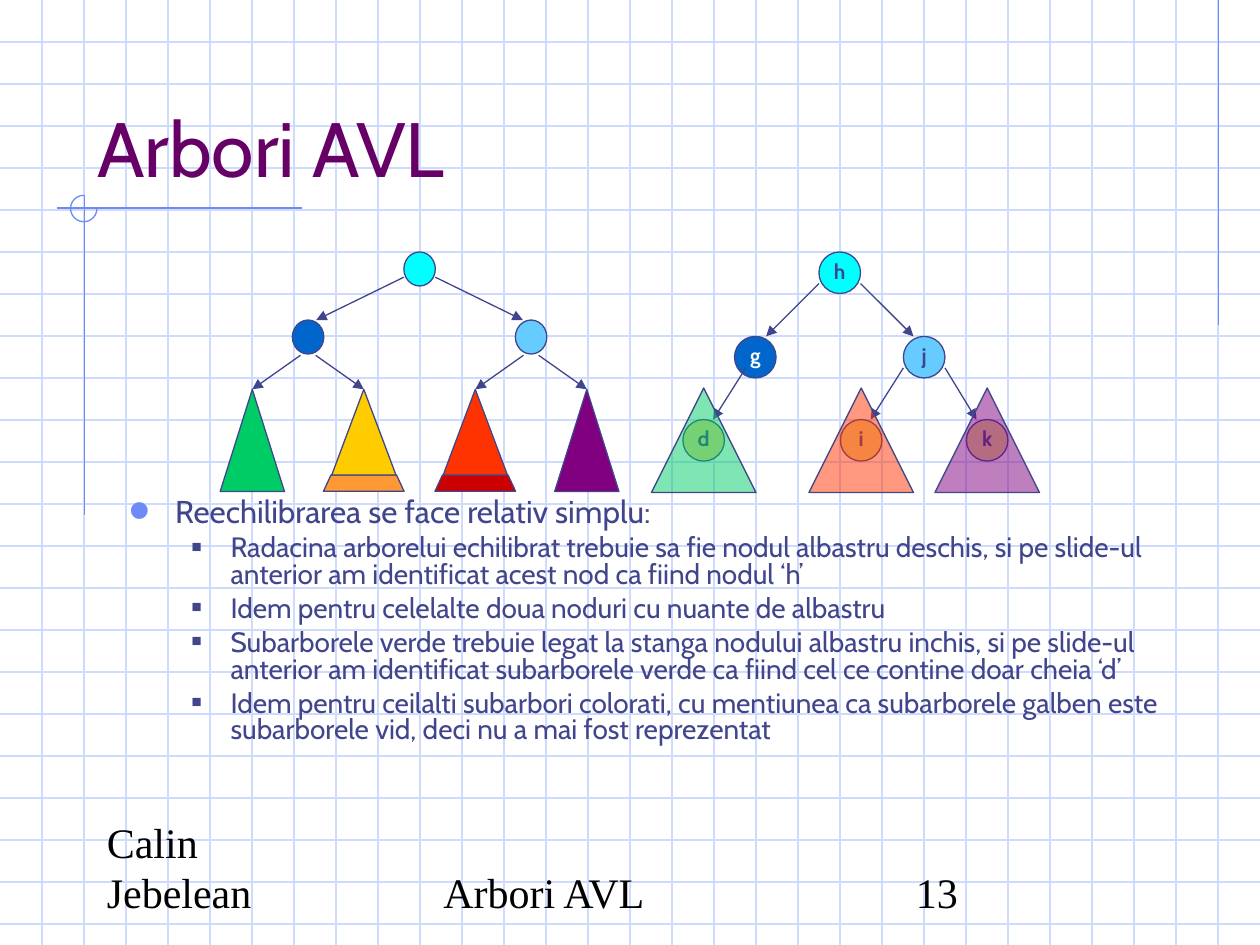
import lxml.etree
import pptx
import pptx.dml.color
import pptx.enum.shapes
import pptx.enum.text
import pptx.oxml.ns
import pptx.util

Inches = pptx.util.Inches
Pt = pptx.util.Pt
RGBColor = pptx.dml.color.RGBColor
SHAPE = pptx.enum.shapes.MSO_SHAPE
ALIGN = pptx.enum.text.PP_ALIGN
ANCHOR = pptx.enum.text.MSO_ANCHOR
qn = pptx.oxml.ns.qn

GRID = RGBColor(0xCF, 0xDB, 0xFD)
ACCENT = RGBColor(0x6F, 0x89, 0xF7)
INK = RGBColor(0x40, 0x45, 0x8C)
PLUM = RGBColor(0x66, 0x00, 0x66)
BLACK = RGBColor(0x00, 0x00, 0x00)
WHITE = RGBColor(0xFF, 0xFF, 0xFF)
CYAN = RGBColor(0x00, 0xFF, 0xFF)
DARK_BLUE = RGBColor(0x00, 0x66, 0xCC)
LIGHT_BLUE = RGBColor(0x66, 0xCC, 0xFF)
SAND = RGBColor(0xEC, 0xD8, 0x82)
GREEN = RGBColor(0x00, 0xCC, 0x66)
YELLOW = RGBColor(0xFF, 0xCC, 0x00)
ORANGE = RGBColor(0xFF, 0x99, 0x33)
RED = RGBColor(0xFF, 0x33, 0x00)
DARK_RED = RGBColor(0xCC, 0x00, 0x00)
PURPLE = RGBColor(0x80, 0x00, 0x80)

BULLETS = [
    (0, "Reechilibrarea se face relativ simplu:"),
    (1, "Radacina arborelui echilibrat trebuie sa fie nodul albastru deschis, si pe slide-ul "
        "anterior am identificat acest nod ca fiind nodul ‘h’"),
    (1, "Idem pentru celelalte doua noduri cu nuante de albastru"),
    (1, "Subarborele verde trebuie legat la stanga nodului albastru inchis, si pe slide-ul "
        "anterior am identificat subarborele verde ca fiind cel ce contine doar cheia ‘d’"),
    (1, "Idem pentru ceilalti subarbori colorati, cu mentiunea ca subarborele galben este "
        "subarborele vid, deci nu a mai fost reprezentat"),
]
LEVELS = [
    dict(size=18, before=4.5, left=0.37, hang=0.37, char="•", color=ACCENT, pct=196),
    dict(size=16, before=4, left=0.81, hang=0.31, char="■", color=INK, pct=60),
]


class Deck:
    font = "Cabin"
    weight = Pt(0.75)

    def __init__(self, slide):
        self.s = slide

    def outline(self, sp, color):
        sp.line.color.rgb = color
        sp.line.width = self.weight

    def finish(self, sp, fill, alpha=None):
        sp.shadow.inherit = False
        sp.fill.solid()
        sp.fill.fore_color.rgb = fill
        self.outline(sp, INK)
        if alpha:
            clr = sp.element.spPr.find(qn("a:solidFill")).find(qn("a:srgbClr"))
            lxml.etree.SubElement(clr, qn("a:alpha"), val=str(alpha * 1000))

    def line(self, x1, y1, x2, y2, color=INK, arrow=False):
        sp = self.s.shapes.add_connector(
            pptx.enum.shapes.MSO_CONNECTOR.STRAIGHT,
            Inches(x1), Inches(y1), Inches(x2), Inches(y2))
        self.outline(sp, color)
        spPr = sp.element.spPr
        if arrow:
            lxml.etree.SubElement(spPr.find(qn("a:ln")), qn("a:tailEnd"), type="triangle")
        lxml.etree.SubElement(spPr, qn("a:effectLst"))

    def shape(self, kind, x, y, w, h, fill, alpha=None):
        sp = self.s.shapes.add_shape(kind, Inches(x), Inches(y), Inches(w), Inches(h))
        self.finish(sp, fill, alpha)

    def arc(self, x, y, size):
        sp = self.s.shapes.add_shape(SHAPE.ARC, Inches(x), Inches(y), Inches(size), Inches(size))
        sp.shadow.inherit = False
        sp.adjustments[0] = 0
        sp.adjustments[1] = 162
        sp.fill.background()
        self.outline(sp, ACCENT)

    def base(self, cx, y, h, fill):
        points = [(cx + dx, y + dy) for dx, dy in ((0.32, h), (-0.32, h), (-0.26, 0), (0.26, 0))]
        points = [(Inches(x), Inches(py)) for x, py in points]
        fb = self.s.shapes.build_freeform(*points[0])
        fb.add_line_segments(points[1:], close=True)
        self.finish(fb.convert_to_shape(), fill)

    def run(self, p, text, size, color, font=None, bold=False):
        r = p.add_run()
        r.text = text
        r.font.name = font or self.font
        r.font.size = Pt(size)
        r.font.bold = bold
        r.font.color.rgb = color

    def node(self, x, y, fill, text, color=INK):
        self.shape(SHAPE.OVAL, x, y, 0.33, 0.33, fill)
        sp = self.s.shapes.add_textbox(Inches(x), Inches(y), Inches(0.33), Inches(0.3))
        tf = sp.text_frame
        tf.word_wrap = True
        p = tf.paragraphs[0]
        p.alignment = ALIGN.CENTER
        p.space_before = Pt(7.5)
        self.run(p, text, 12, color, bold=True)

    def footer(self, x, w, text):
        sp = self.s.shapes.add_textbox(Inches(x), Inches(6.83), Inches(w), Inches(0.5))
        tf = sp.text_frame
        tf.word_wrap = True
        tf.vertical_anchor = ANCHOR.BOTTOM
        self.run(tf.paragraphs[0], text, 24, BLACK, "Times New Roman")

    def placeholder(self, sp, x, y, w, h, anchor):
        sp.left, sp.top, sp.width, sp.height = (Inches(v) for v in (x, y, w, h))
        sp.element.getparent().append(sp.element)
        tf = sp.text_frame
        tf.auto_size = pptx.enum.text.MSO_AUTO_SIZE.NONE
        tf.vertical_anchor = anchor
        return tf

    def title(self, text):
        tf = self.placeholder(self.s.shapes.title, 0.67, 0.33, 8.5, 1.25, ANCHOR.BOTTOM)
        p = tf.paragraphs[0]
        p.alignment = ALIGN.LEFT
        self.run(p, text, 44, PLUM)

    def body(self, items):
        tf = self.placeholder(self.s.placeholders[1], 0.92, 3.91, 8.5, 2.67, ANCHOR.TOP)
        for i, (level, text) in enumerate(items):
            style = LEVELS[level]
            p = tf.add_paragraph() if i else tf.paragraphs[0]
            p.level = level
            p.line_spacing = 0.8
            p.space_before = Pt(style["before"])
            self.run(p, text, style["size"], INK)
            pPr = p._p.get_or_add_pPr()
            pPr.set("marL", str(Inches(style["left"])))
            pPr.set("indent", str(-Inches(style["hang"])))
            clr = lxml.etree.SubElement(pPr, qn("a:buClr"))
            lxml.etree.SubElement(clr, qn("a:srgbClr"), val=str(style["color"]))
            lxml.etree.SubElement(pPr, qn("a:buSzPct"), val=str(style["pct"] * 1000))
            lxml.etree.SubElement(pPr, qn("a:buChar"), char=style["char"])


def draw_background(deck):
    for i in range(1, 23):
        deck.line(0, i / 3, 10, i / 3, GRID)
    for i in range(1, 30):
        deck.line(i / 3, 0, i / 3, 7.5, GRID)
    for ends in ((9.67, 0, 9.67, 2.58), (2.4, 1.65, 0.45, 1.65), (0.67, 1.55, 0.67, 4.09)):
        deck.line(*ends, ACCENT)
    deck.arc(0.56, 1.55, 0.21)


def draw_pattern_tree(deck):
    root, gap, apex = 3.33, 0.885, 3.09
    for cx, y, fill in ((root, 2, CYAN), (root + gap, 2.54, LIGHT_BLUE),
                        (root - gap, 2.54, DARK_BLUE)):
        deck.shape(SHAPE.OVAL, cx - 0.125, y, 0.25, 0.27, fill)
    for side in (1, -1):
        child = root + side * gap
        deck.line(root + side * 0.125, 2.2, child - side * 0.065, 2.54, arrow=True)
        for turn in (1, -1):
            deck.line(child + turn * 0.06, 2.82, child + turn * gap / 2, apex, arrow=True)
    subtrees = ((GREEN, None), (YELLOW, ORANGE), (RED, DARK_RED), (PURPLE, None))
    for i, (fill, base) in enumerate(subtrees):
        cx = root + (i - 1.5) * gap
        if base:
            deck.base(cx, 3.77, 0.13, base)
        deck.shape(SHAPE.ISOSCELES_TRIANGLE, cx - 0.255, apex, 0.51, 0.68 if base else 0.81, fill)


def draw_key_tree(deck):
    deck.node(6.5, 2, CYAN, "h")
    deck.node(5.83, 2.67, DARK_BLUE, "g", WHITE)
    deck.node(7.17, 2.67, LIGHT_BLUE, "j")
    leaves = ((5.42, "d", GREEN), (6.67, "i", RED), (7.67, "k", PURPLE))
    for x, text, fill in leaves:
        deck.node(x, 3.33, SAND, text)
    for ends in ((6.5, 2.25, 6.08, 2.67), (6.83, 2.25, 7.25, 2.67), (7.5, 2.92, 7.75, 3.33),
                 (7.17, 2.92, 6.91, 3.33), (5.92, 2.92, 5.66, 3.33)):
        deck.line(*ends, arrow=True)
    for x, text, fill in leaves:
        deck.shape(SHAPE.ISOSCELES_TRIANGLE, x - 0.25, 3.08, 0.83, 0.83, fill, 50)


def main():
    prs = pptx.Presentation()
    prs.slide_width, prs.slide_height = Inches(10), Inches(7.5)
    deck = Deck(prs.slides.add_slide(prs.slide_layouts[1]))
    draw_background(deck)
    deck.title("Arbori AVL")
    deck.body(BULLETS)
    draw_pattern_tree(deck)
    draw_key_tree(deck)
    deck.footer(3.42, 3.16, "Arbori AVL")
    deck.footer(7.17, 2.08, "13")
    deck.footer(0.75, 2.08, "Calin Jebelean")
    prs.save("out.pptx")


if __name__ == "__main__":
    main()
